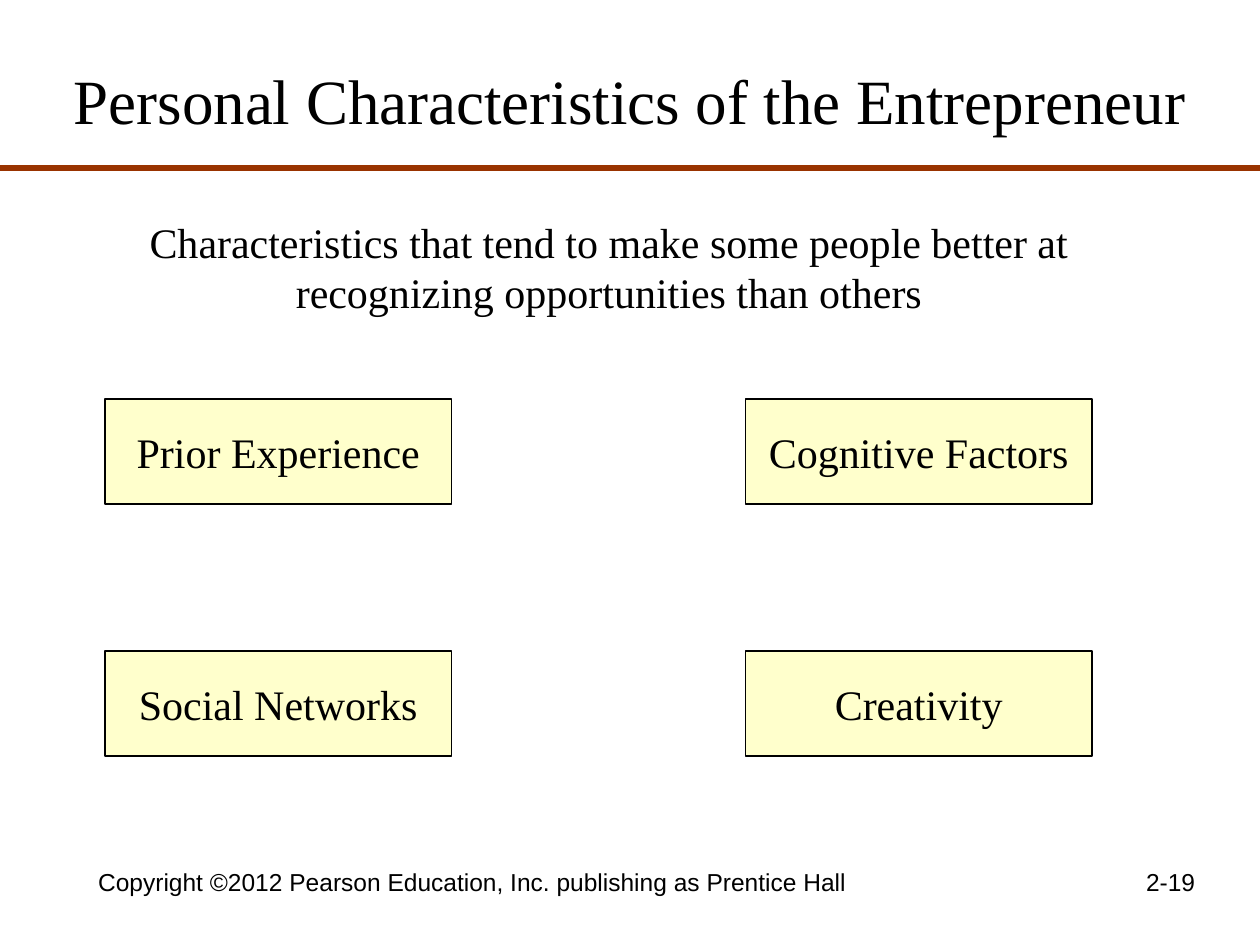
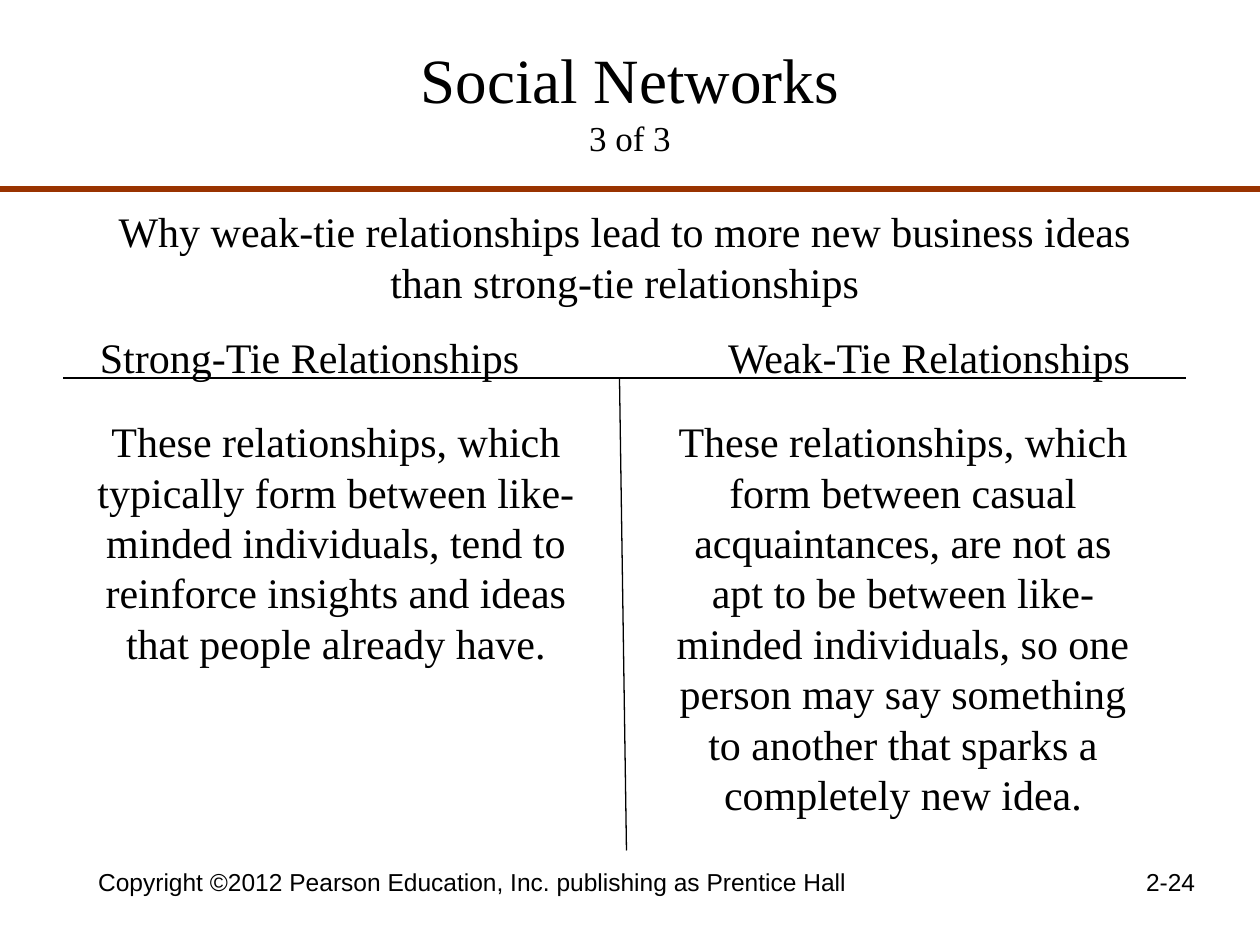
import pptx
import pptx.util
import pptx.dml.color
import pptx.enum.shapes
import pptx.enum.text
import pptx.oxml.ns
import lxml.etree

Pt = pptx.util.Pt
ALIGN = pptx.enum.text.PP_ALIGN
ANCHOR = pptx.enum.text.MSO_ANCHOR

BLACK = "000000"
RULE = "993300"
CARD = "FFFFCC"
SERIF = "Times New Roman"
SANS = "Arial"
TITLE_ONLY = 5
COPYRIGHT = "Copyright ©2012 Pearson Education, Inc. publishing as Prentice Hall"


def color(value):
    return pptx.dml.color.RGBColor.from_string(value)


def write(para, text, size, font=SERIF, align=ALIGN.CENTER):
    para.alignment = align
    span = para.add_run()
    span.text = text
    span.font.size = Pt(size)
    span.font.name = font
    span.font.color.rgb = color(BLACK)


def add_title(page, left, width, text, part=None):
    title = page.shapes.title
    title.left, title.top = Pt(left), Pt(12)
    title.width, title.height = Pt(width), Pt(90)
    frame = title.text_frame
    frame.auto_size = pptx.enum.text.MSO_AUTO_SIZE.NONE
    frame.vertical_anchor = ANCHOR.MIDDLE
    write(frame.paragraphs[0], text, 36)
    if part:
        write(frame.add_paragraph(), part, 20)


def add_text(page, left, top, width, height, text, size=24, font=SERIF, align=ALIGN.CENTER):
    box = page.shapes.add_textbox(Pt(left), Pt(top), Pt(width), Pt(height))
    box.text_frame.word_wrap = True
    write(box.text_frame.paragraphs[0], text, size, font, align)


def add_card(page, left, top, text):
    card = page.shapes.add_shape(
        pptx.enum.shapes.MSO_SHAPE.RECTANGLE, Pt(left), Pt(top), Pt(198), Pt(60))
    card.shadow.inherit = False
    card.fill.solid()
    card.fill.fore_color.rgb = color(CARD)
    card.line.color.rgb = color(BLACK)
    card.line.width = Pt(0.75)
    card.text_frame.word_wrap = False
    card.text_frame.vertical_anchor = ANCHOR.MIDDLE
    write(card.text_frame.paragraphs[0], text, 24)


def add_line(page, x1, y1, x2, y2, stroke=BLACK, weight=0.75):
    line = page.shapes.add_connector(
        pptx.enum.shapes.MSO_CONNECTOR.STRAIGHT, Pt(x1), Pt(y1), Pt(x2), Pt(y2))
    line.line.color.rgb = color(stroke)
    line.line.width = Pt(weight)
    properties = line.element.find(pptx.oxml.ns.qn("p:spPr"))
    lxml.etree.SubElement(properties, pptx.oxml.ns.qn("a:effectLst"))


def add_title_rule(page, top):
    add_line(page, 0, top, 720, top, RULE, 3)


def add_footer(page, number):
    add_text(page, 36, 492, 468, 37.5, COPYRIGHT, 14, SANS)
    add_text(page, 522, 492, 168, 37.5, number, 14, SANS, ALIGN.RIGHT)


def build_characteristics(deck):
    page = deck.slides.add_slide(deck.slide_layouts[TITLE_ONLY])
    add_title(page, 18, 684, "Personal Characteristics of the Entrepreneur")
    add_title_rule(page, 96)
    add_text(page, 78, 120, 540, 65, "Characteristics that tend to make some people "
             "better at recognizing opportunities than others")
    characteristics = ["Prior Experience", "Cognitive Factors", "Social Networks", "Creativity"]
    for index, name in enumerate(characteristics):
        row, column = divmod(index, 2)
        add_card(page, 60 + 366 * column, 228 + 144 * row, name)
    add_footer(page, "2-19")


def build_networks(deck):
    page = deck.slides.add_slide(deck.slide_layouts[TITLE_ONLY])
    add_title(page, 36, 648, "Social Networks", "3 of 3")
    add_title_rule(page, 108)
    add_line(page, 36, 216, 678, 216)
    add_text(page, 18, 186, 318, 36, "Strong-Tie Relationships")
    add_text(page, 408, 186, 246, 36, "Weak-Tie Relationships")
    add_text(page, 48, 234, 288, 151, "These relationships, which typically form between "
             "like-minded individuals, tend to reinforce insights and ideas that people "
             "already have.")
    add_text(page, 378, 234, 276, 238, "These relationships, which form between casual "
             "acquaintances, are not as apt to be between like-minded individuals, so one "
             "person may say something to another that sparks a completely new idea.")
    add_line(page, 354, 216, 358, 486)
    add_text(page, 60, 114, 594, 65, "Why weak-tie relationships lead to more new business "
             "ideas than strong-tie relationships")
    add_footer(page, "2-24")


def main():
    deck = pptx.Presentation()
    deck.slide_width, deck.slide_height = Pt(720), Pt(540)
    build_characteristics(deck)
    build_networks(deck)
    deck.save("out.pptx")


if __name__ == "__main__":
    main()
